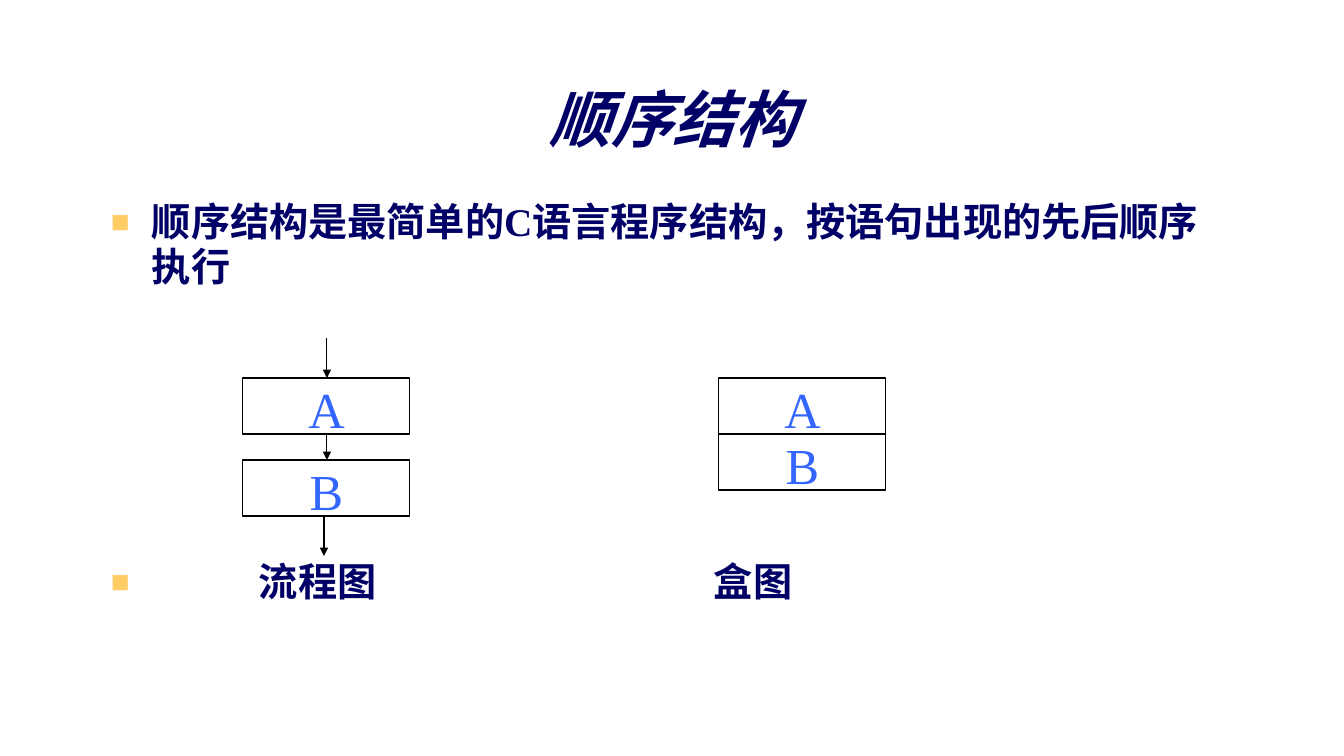
from lxml import etree
from pptx import Presentation
from pptx.dml.color import RGBColor
from pptx.enum.shapes import MSO_CONNECTOR, MSO_SHAPE
from pptx.enum.text import MSO_ANCHOR, MSO_AUTO_SIZE, PP_ALIGN
from pptx.oxml.ns import qn
from pptx.util import Pt

PX = 9525 * 96 / 100.8
FONT = "Times New Roman"
COLORS = {"navy": "000066", "blue": "3366FF", "gold": "FFCC66", "black": "000000"}
PROCESS_WIDTH, PROCESS_HEIGHT = 167, 56
FLOW_LEFT, BOX_LEFT = 243, 719
DIAGRAM_TOP, FLOW_STEP = 378, 82


def px(value):
    return round(value * PX)


def color(name):
    return RGBColor.from_string(COLORS[name])


def style_paragraph(para, size, name, spacing, bold=False, italic=False):
    para.line_spacing = spacing
    for span in para.runs:
        font = span.font
        font.name, font.size = FONT, Pt(size)
        font.bold, font.italic = bold, italic
        font.color.rgb = color(name)


def add_bullet(para, indent, tab=None):
    props = para._p.get_or_add_pPr()
    props.set("marL", str(px(indent)))
    props.set("indent", str(-px(indent)))
    tint = etree.SubElement(props, qn("a:buClr"))
    etree.SubElement(tint, qn("a:srgbClr"), val=COLORS["gold"])
    etree.SubElement(props, qn("a:buSzPct"), val="80000")
    etree.SubElement(props, qn("a:buFont"), typeface=FONT)
    etree.SubElement(props, qn("a:buChar"), char="■")
    if tab:
        tabs = etree.SubElement(props, qn("a:tabLst"))
        etree.SubElement(tabs, qn("a:tab"), pos=str(px(tab)), algn="l")


def add_text_shadow(span):
    effects = etree.Element(qn("a:effectLst"))
    shadow = etree.SubElement(effects, qn("a:outerShdw"), dist="38100", dir="2700000", algn="tl")
    etree.SubElement(shadow, qn("a:srgbClr"), val=COLORS["black"])
    span.font._element.find(qn("a:solidFill")).addnext(effects)


def set_title(page, text):
    title = page.shapes.title
    title.left, title.top, title.width, title.height = px(100), px(77), px(1146), px(93)
    frame = title.text_frame
    frame.text = text
    frame.vertical_anchor = MSO_ANCHOR.MIDDLE
    para = frame.paragraphs[0]
    para.alignment = PP_ALIGN.CENTER
    style_paragraph(para, 44, "navy", 0.85, bold=True, italic=True)
    add_text_shadow(para.runs[0])


def add_body(page, statement, captions):
    box = page.shapes.add_textbox(px(101), px(196), px(1142), px(508))
    frame = box.text_frame
    frame.word_wrap = True
    frame.text = statement
    add_bullet(frame.paragraphs[0], 41)
    labels = frame.add_paragraph()
    labels.text = "\t".join(captions)
    add_bullet(labels, 148, tab=603)
    labels.space_before = Pt(193)
    for para in frame.paragraphs:
        style_paragraph(para, 28, "navy", 0.95, bold=True)


def add_process(page, text, left, top):
    box = page.shapes.add_shape(MSO_SHAPE.FLOWCHART_PROCESS, px(left), px(top),
                                px(PROCESS_WIDTH), px(PROCESS_HEIGHT))
    box.shadow.inherit = False
    box.fill.background()
    box.line.color.rgb = color("black")
    box.line.width = Pt(0.75)
    frame = box.text_frame
    frame.auto_size = MSO_AUTO_SIZE.NONE
    frame.vertical_anchor = MSO_ANCHOR.TOP
    frame.text = text
    para = frame.paragraphs[0]
    para.alignment = PP_ALIGN.CENTER
    style_paragraph(para, 36, "blue", 0.95)


def add_arrow(page, x, top, bottom):
    arrow = page.shapes.add_connector(MSO_CONNECTOR.STRAIGHT, px(x), px(top), px(x), px(bottom))
    arrow.line.color.rgb = color("black")
    arrow.line.width = Pt(0.75)
    etree.SubElement(arrow.line._get_or_add_ln(), qn("a:tailEnd"), type="triangle")
    etree.SubElement(arrow._element.spPr, qn("a:effectLst"))


def main():
    deck = Presentation()
    deck.slide_width, deck.slide_height = px(1344), px(756)
    page = deck.slides.add_slide(deck.slide_layouts[5])
    set_title(page, "顺序结构")
    add_body(page, "顺序结构是最简单的C语言程序结构，按语句出现的先后顺序执行", ("流程图", "盒图"))
    for left, step in ((FLOW_LEFT, FLOW_STEP), (BOX_LEFT, PROCESS_HEIGHT)):
        for index, text in enumerate("AB"):
            add_process(page, text, left, DIAGRAM_TOP + index * step)
    flow_bottom = DIAGRAM_TOP + FLOW_STEP + PROCESS_HEIGHT
    add_arrow(page, 327, DIAGRAM_TOP - 40, DIAGRAM_TOP)
    add_arrow(page, 327, DIAGRAM_TOP + PROCESS_HEIGHT, DIAGRAM_TOP + FLOW_STEP)
    add_arrow(page, 324, flow_bottom, flow_bottom + 40)
    deck.save("out.pptx")


if __name__ == "__main__":
    main()
